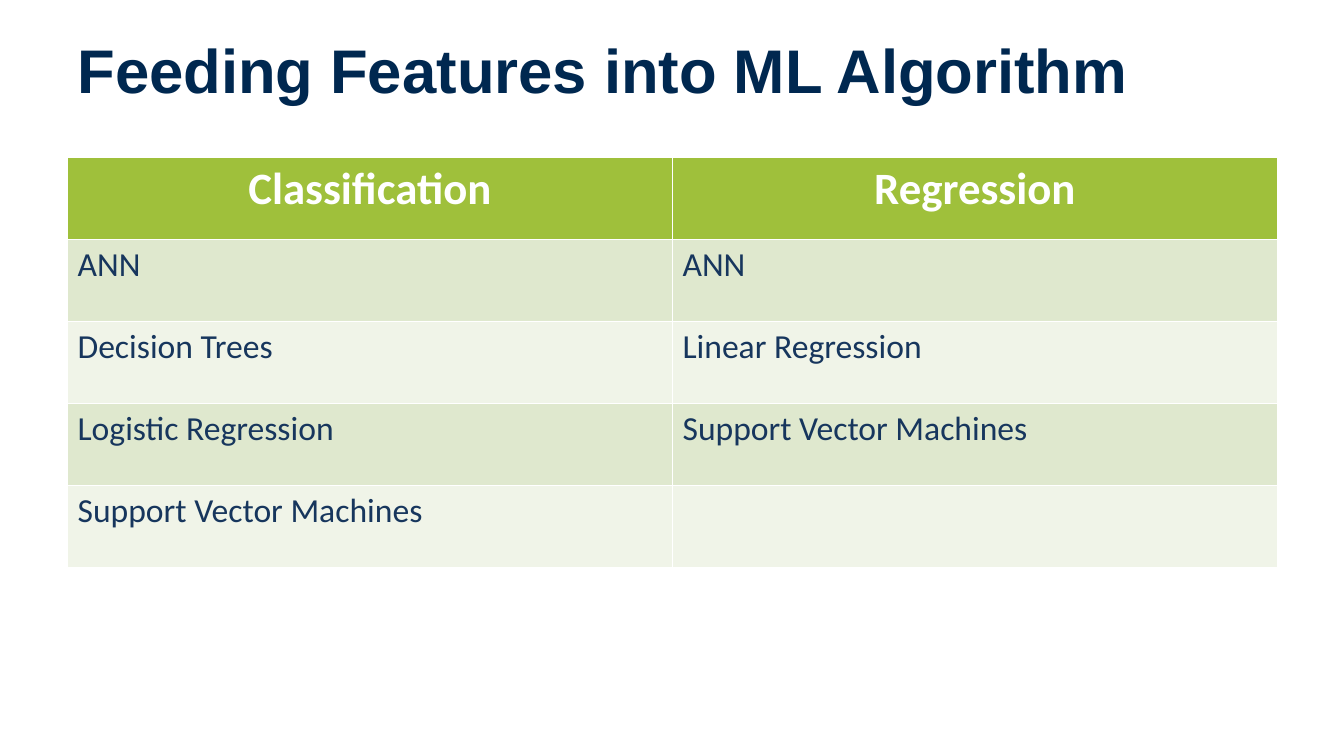
from pptx import Presentation
from pptx.dml.color import RGBColor
from pptx.enum.text import MSO_ANCHOR, PP_ALIGN
from pptx.util import Inches, Pt

COLORS = {
    "title": "002850",
    "header_fill": "9FC03B",
    "header_text": "FFFFFF",
    "body_text": "17365D",
    "dark_band": "DFE8CE",
    "light_band": "F0F4E8",
}

ALGORITHMS = [
    ("Classification", "Regression"),
    ("ANN", "ANN"),
    ("Decision Trees", "Linear Regression"),
    ("Logistic Regression", "Support Vector Machines"),
    ("Support Vector Machines", ""),
]


def style_text(paragraph, font_name, size, color, bold):
    for run in paragraph.runs:
        run.font.name = font_name
        run.font.size = Pt(size)
        run.font.bold = bold
        run.font.color.rgb = RGBColor.from_string(COLORS[color])


prs = Presentation()
prs.slide_width = Inches(13.33)
prs.slide_height = Inches(7.5)
slide = prs.slides.add_slide(prs.slide_layouts[6])

title = slide.shapes.add_textbox(Inches(0.67), Inches(0.3), Inches(12), Inches(0.77))
title_frame = title.text_frame
title_frame.word_wrap = True
title_frame.vertical_anchor = MSO_ANCHOR.MIDDLE
title_frame.text = "Feeding Features into ML Algorithm"
style_text(title_frame.paragraphs[0], "Arial", 44, "title", True)

algorithm_table = slide.shapes.add_table(
    len(ALGORITHMS), 2, Inches(0.67), Inches(1.56), Inches(12), Inches(4.07)
).table

for row, names in enumerate(ALGORITHMS):
    is_header = row == 0
    if is_header:
        fill = "header_fill"
    else:
        fill = "dark_band" if row % 2 else "light_band"
    for column, name in enumerate(names):
        cell = algorithm_table.cell(row, column)
        cell.fill.solid()
        cell.fill.fore_color.rgb = RGBColor.from_string(COLORS[fill])
        cell.text_frame.text = name
        paragraph = cell.text_frame.paragraphs[0]
        if is_header:
            paragraph.alignment = PP_ALIGN.CENTER
            style_text(paragraph, "Calibri", 32, "header_text", True)
        else:
            style_text(paragraph, "Calibri", 24, "body_text", False)

prs.save("out.pptx")
